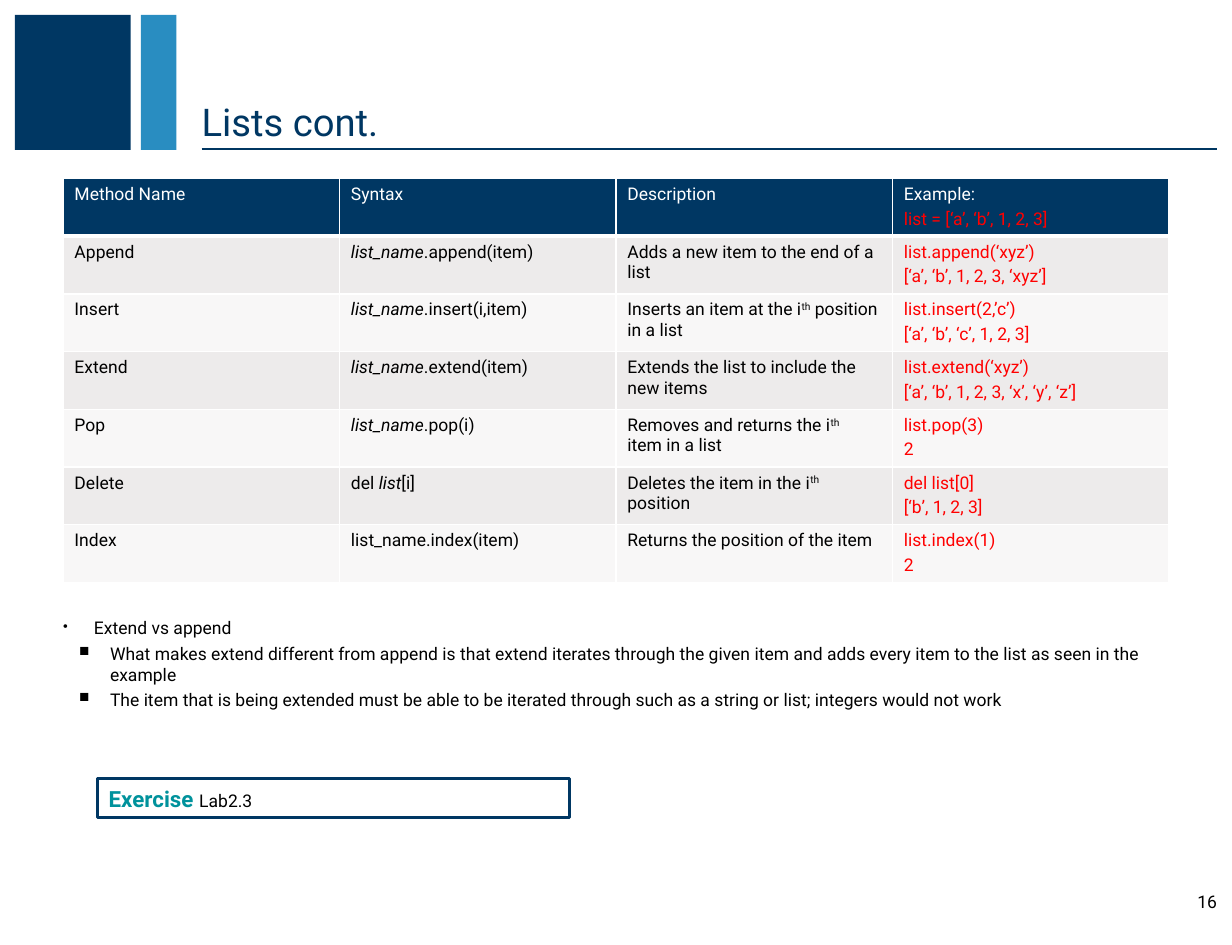
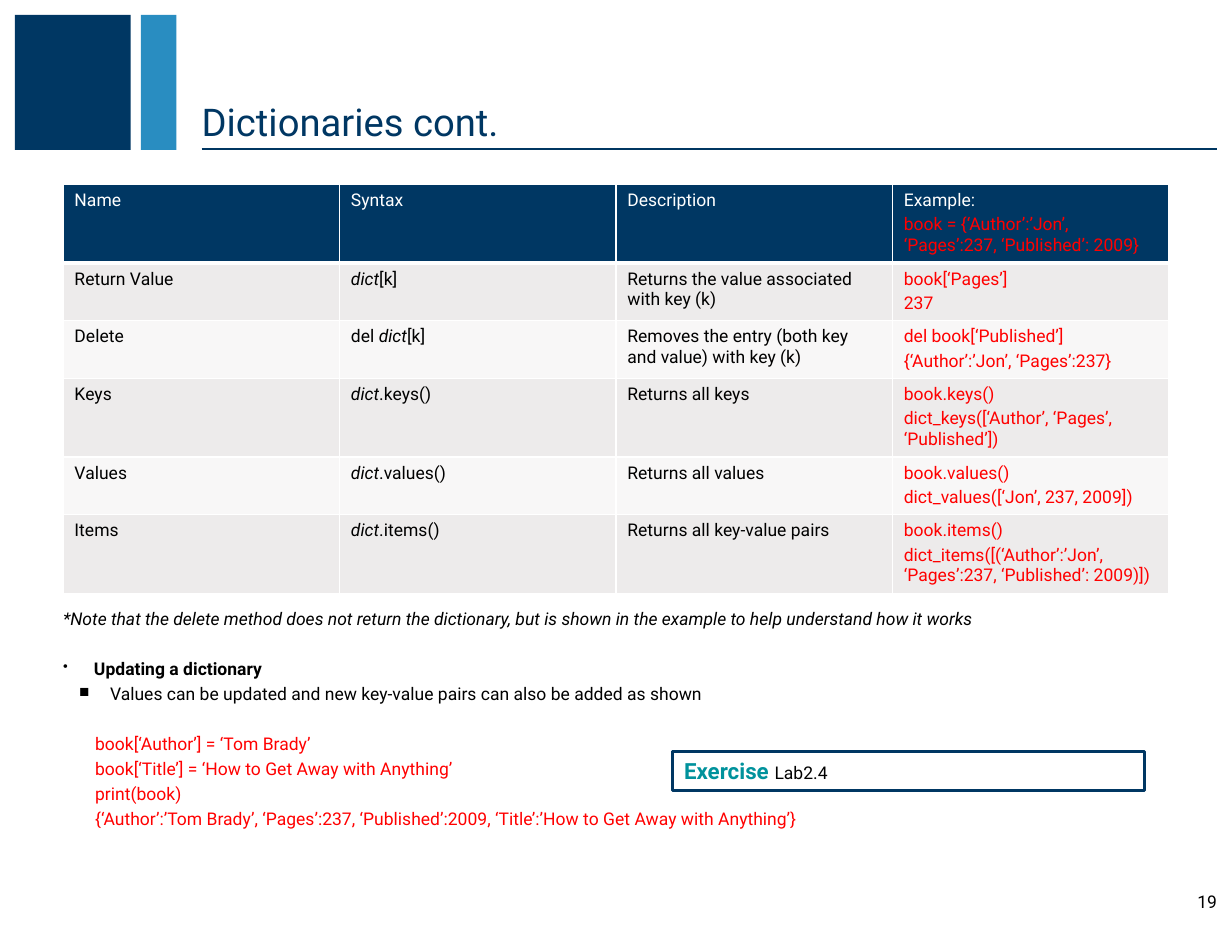
import pptx
import pptx.util
import pptx.dml.color
import pptx.enum.shapes
import pptx.enum.text
import pptx.oxml
import pptx.oxml.ns

# Shared style
FONT = "Roboto"
NAVY, BLUE, RULE, TEAL = "003763", "298DC1", "003661", "00929C"
BLACK, WHITE, RED, BAND = "000000", "FFFFFF", "FF0000", "D2CFCD"
BAND_ALPHAS = (40, 15)
TEXT_SIZE, TITLE_SIZE, LEAD_SIZE = 11, 24, 14
GAP = 2.6
BLANK_LINE = 18.1

# Shared grid, in inches
PAGE_WIDTH, PAGE_HEIGHT = 10.75, 8.25
EDGE = 0.13
BAND_HEIGHT = 1.18
TITLE_LEFT = 1.76
TITLE_WIDTH = PAGE_WIDTH - EDGE - TITLE_LEFT
LEFT, WIDTH = 0.55, 9.65
ROW = 0.41

# Paragraph kinds: level, left indent, first-line indent, bullet
KINDS = {
    "plain": (0, 0, 0, None),
    "point": (0, 0.27, -0.27, "•"),
    "detail": (1, 0.41, -0.27, "■"),
    "code": (1, 0.28, 0, None),
}

# Content: ~italic~ and ^superscript^
LIST_ROWS = [
    ["Method Name", "Syntax", "Description", "Example:\nlist = [‘a’, ‘b’, 1, 2, 3]"],
    ["Append", "~list_name~.append(item)", "Adds a new item to the end of a list",
     "list.append(‘xyz’)\n[‘a’, ‘b’, 1, 2, 3, ‘xyz’]"],
    ["Insert", "~list_name~.insert(i,item)", "Inserts an item at the i^th^ position in a list",
     "list.insert(2,’c’)\n[‘a’, ‘b’, ‘c’, 1, 2, 3]"],
    ["Extend", "~list_name~.extend(item)", "Extends the list to include the new items",
     "list.extend(‘xyz’)\n[‘a’, ‘b’, 1, 2, 3, ‘x’, ‘y’, ‘z’]"],
    ["Pop", "~list_name~.pop(i)", "Removes and returns the i^th ^ item in a list",
     "list.pop(3)\n2"],
    ["Delete", "del ~list~[i]", "Deletes the item in the i^th^ position",
     "del list[0]\n[‘b’, 1, 2, 3]"],
    ["Index", "list_name.index(item)", "Returns the position of the item",
     "list.index(1)\n2"],
]
LIST_NOTES = [
    ("point", "Extend vs append", {}),
    ("detail", "What makes extend different from append is that extend iterates through "
               "the given item and adds every item to the list as seen in the example", {}),
    ("detail", "The item that is being extended must be able to be iterated through "
               "such as a string or list; integers would not work", {}),
]
DICTIONARY_ROWS = [
    ["Name", "Syntax", "Description",
     "Example:\nbook = {‘Author’:’Jon’, ‘Pages’:237, ‘Published’: 2009}"],
    ["Return Value", "~dict~[k]", "Returns the value associated with key (k)",
     "book[‘Pages’]\n237"],
    ["Delete", "del ~dict~[k]", "Removes the entry (both key and value) with key (k)",
     "del book[‘Published’]\n{‘Author’:’Jon’, ‘Pages’:237}"],
    ["Keys", "~dict~.keys()", "Returns all keys",
     "book.keys()\ndict_keys([‘Author’, ‘Pages’, ‘Published’])"],
    ["Values", "~dict~.values()", "Returns all values",
     "book.values()\ndict_values([‘Jon’, 237, 2009])"],
    ["Items", "~dict~.items()", "Returns all key-value pairs",
     "book.items()\ndict_items([(‘Author’:’Jon’, ‘Pages’:237, ‘Published’: 2009)])"],
]
DICTIONARY_NOTES = [
    ("plain", "~*Note that the delete method does not return the dictionary, but is shown "
              "in the example to help understand how it works~", {}),
    ("point", "Updating a dictionary", {"bold": True, "before": BLANK_LINE}),
    ("detail", "Values can be updated and new key-value pairs can also be added as shown", {}),
    ("code", "book[‘Author’] = ‘Tom Brady’", {"color": RED, "before": BLANK_LINE}),
    ("code", "book[‘Title’] = ‘How to Get Away with Anything’", {"color": RED}),
    ("code", "print(book)", {"color": RED}),
    ("code", "{‘Author’:’Tom Brady’, ‘Pages’:237, ‘Published’:2009, "
             "‘Title’:’How to Get Away with Anything’}", {"color": RED}),
]


def rgb(color):
    return pptx.dml.color.RGBColor.from_string(color)


def inches(*lengths):
    return [pptx.util.Inches(length) for length in lengths]


def add_element(parent, xml):
    """Append a drawing element written as '<a:name ...' to parent."""
    head, mark, tail = xml.partition(">")
    slash = "/" if head.endswith("/") else ""
    head = head.rstrip("/") + " " + pptx.oxml.ns.nsdecls("a")
    element = pptx.oxml.parse_xml(head + slash + mark + tail)
    parent.append(element)


# Text
def style(span, size=TEXT_SIZE, color=BLACK, bold=False, italic=False):
    span.font.name = FONT
    span.font.size = pptx.util.Pt(size)
    span.font.color.rgb = rgb(color)
    span.font.bold = bold
    span.font.italic = italic


def write(para, text, before=GAP, **look):
    para.space_before = pptx.util.Pt(before)
    for i, part in enumerate(text.split("~")):
        for j, piece in enumerate(part.split("^")):
            if piece:
                span = para.add_run()
                span.text = piece
                style(span, italic=i % 2 == 1, **look)
                if j % 2 == 1:
                    span.font._element.set("baseline", "30000")


def set_kind(para, kind):
    level, left, first, bullet = KINDS[kind]
    para.level = level
    properties = para._p.get_or_add_pPr()
    properties.set("marL", str(pptx.util.Inches(left)))
    properties.set("indent", str(pptx.util.Inches(first)))
    if bullet:
        add_element(properties, '<a:buSzPct val="80000"/>')
        add_element(properties, f'<a:buChar char="{bullet}"/>')


def add_text_box(page, place, margins=(0, 0, 0, 0), anchor="TOP"):
    frame = page.shapes.add_textbox(*inches(*place)).text_frame
    frame.word_wrap = True
    (frame.margin_left, frame.margin_top,
     frame.margin_right, frame.margin_bottom) = inches(*margins)
    frame.vertical_anchor = pptx.enum.text.MSO_ANCHOR[anchor]
    return frame


def add_notes(page, top, notes):
    frame = add_text_box(page, (LEFT, top, WIDTH, 2))
    for i, (kind, text, look) in enumerate(notes):
        para = frame.add_paragraph() if i else frame.paragraphs[0]
        write(para, text, **look)
        set_kind(para, kind)


# Shapes
def add_rectangle(page, place, fill, line=None):
    box = page.shapes.add_shape(pptx.enum.shapes.MSO_SHAPE.RECTANGLE, *inches(*place))
    box.shadow.inherit = False
    box.fill.solid()
    box.fill.fore_color.rgb = rgb(fill)
    if line:
        box.line.color.rgb = rgb(line)
        box.line.width = pptx.util.Pt(2)
    else:
        box.line.fill.background()
    return box


def add_exercise(page, left, top, lab):
    box = add_rectangle(page, (left, top, 4.12, 0.34), WHITE, NAVY)
    para = box.text_frame.paragraphs[0]
    para.alignment = pptx.enum.text.PP_ALIGN.LEFT
    write(para, "Exercise ", size=LEAD_SIZE, color=TEAL, bold=True)
    write(para, lab)


# Table
def set_borders(cell, row):
    properties = cell._tc.get_or_add_tcPr()
    widths = {"L": 1, "R": 1, "T": 3 if row == 1 else 1, "B": 3 if row == 0 else 1}
    for side, width in widths.items():
        add_element(properties,
                    f'<a:ln{side} w="{pptx.util.Pt(width)}"><a:solidFill>'
                    f'<a:srgbClr val="{WHITE}"/></a:solidFill></a:ln{side}>')


def fill_cell(cell, row):
    cell.fill.solid()
    cell.fill.fore_color.rgb = rgb(BAND if row else NAVY)
    if row:
        alpha = BAND_ALPHAS[(row - 1) % 2]
        color = cell._tc.tcPr.find(".//" + pptx.oxml.ns.qn("a:solidFill") + "[last()]/"
                                   + pptx.oxml.ns.qn("a:srgbClr") + f"[@val='{BAND}']")
        add_element(color, f'<a:alpha val="{alpha * 1000}"/>')


def add_method_table(page, top, rows):
    columns = len(rows[0])
    table = page.shapes.add_table(
        len(rows), columns, *inches(LEFT, top, WIDTH, ROW * len(rows))).table
    for r, texts in enumerate(rows):
        for c, text in enumerate(texts):
            cell = table.cell(r, c)
            set_borders(cell, r)
            fill_cell(cell, r)
            for i, line in enumerate(text.split("\n")):
                frame = cell.text_frame
                para = frame.add_paragraph() if i else frame.paragraphs[0]
                is_example = c == columns - 1 and (r > 0 or i > 0)
                color = RED if is_example else BLACK if r else WHITE
                write(para, line, color=color)


# Page with title band and number
def add_page(deck, title, number):
    page = deck.slides.add_slide(deck.slide_layouts[6])
    add_rectangle(page, (EDGE, EDGE, 1.01, BAND_HEIGHT), NAVY)
    add_rectangle(page, (1.23, EDGE, 0.31, BAND_HEIGHT), BLUE)
    rule_top = 1.3
    rule = page.shapes.add_connector(
        pptx.enum.shapes.MSO_CONNECTOR.STRAIGHT,
        *inches(TITLE_LEFT, rule_top, TITLE_LEFT + TITLE_WIDTH, rule_top))
    rule.line.color.rgb = rgb(RULE)
    rule.line.width = pptx.util.Pt(1)
    add_element(rule._element.spPr, "<a:effectLst/>")
    heading = add_text_box(page, (TITLE_LEFT, EDGE, TITLE_WIDTH, BAND_HEIGHT),
                           (0, 0.05, 0, 0.05), "BOTTOM")
    write(heading.paragraphs[0], title, before=0, size=TITLE_SIZE, color=NAVY)
    footer = add_text_box(page, (10.2, 7.75, 0.42, 0.27), (0, 0, 0, 0.03), "MIDDLE")
    write(footer.paragraphs[0], str(number))
    footer.paragraphs[0].alignment = pptx.enum.text.PP_ALIGN.RIGHT
    return page


def main():
    deck = pptx.Presentation()
    deck.slide_width, deck.slide_height = inches(PAGE_WIDTH, PAGE_HEIGHT)

    lists = add_page(deck, "Lists cont.", 16)
    add_notes(lists, 5.39, LIST_NOTES)
    add_method_table(lists, 1.56, LIST_ROWS)
    add_exercise(lists, 0.85, 6.8, "Lab2.3")

    dictionaries = add_page(deck, "Dictionaries cont.", 19)
    add_notes(dictionaries, 5.31, DICTIONARY_NOTES)
    add_method_table(dictionaries, 1.61, DICTIONARY_ROWS)
    add_exercise(dictionaries, 5.87, 6.56, "Lab2.4")

    deck.save("out.pptx")


if __name__ == "__main__":
    main()
